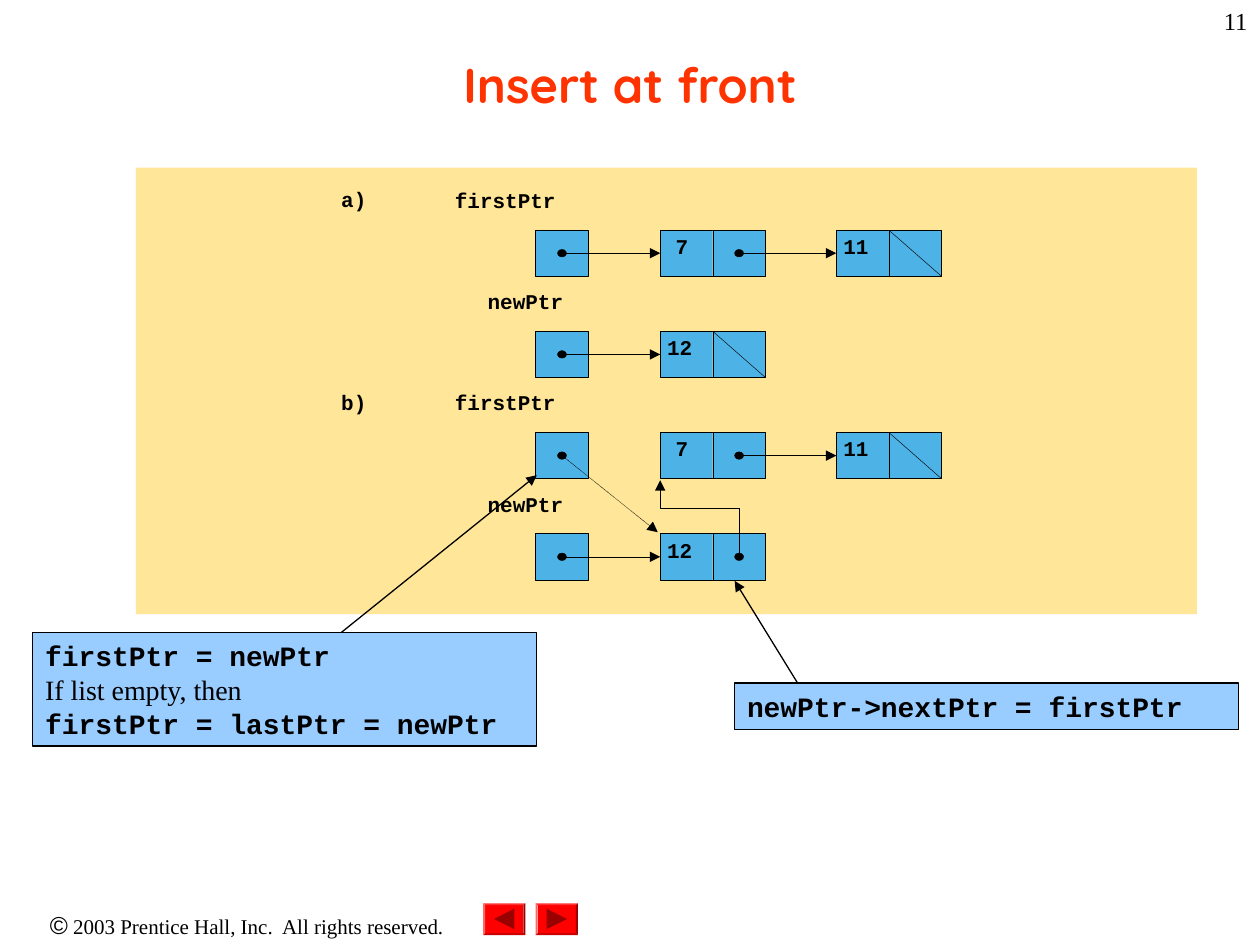
"""Build the slide showing how a node is inserted at the front of a linked list."""
from dataclasses import dataclass

from lxml import etree
from pptx import Presentation
from pptx.dml.color import RGBColor
from pptx.enum.dml import MSO_LINE
from pptx.enum.shapes import MSO_CONNECTOR, MSO_SHAPE
from pptx.enum.text import MSO_ANCHOR, MSO_AUTO_SIZE, PP_ALIGN
from pptx.oxml.ns import qn
from pptx.util import Cm, Pt

STRAIGHT = MSO_CONNECTOR.STRAIGHT
RECTANGLE, OVAL = MSO_SHAPE.RECTANGLE, MSO_SHAPE.OVAL
BEVEL, TRIANGLE = MSO_SHAPE.BEVEL, MSO_SHAPE.ISOSCELES_TRIANGLE
LEFT, CENTER, RIGHT = PP_ALIGN.LEFT, PP_ALIGN.CENTER, PP_ALIGN.RIGHT
TOP, MIDDLE = MSO_ANCHOR.TOP, MSO_ANCHOR.MIDDLE
GROW, FIXED = MSO_AUTO_SIZE.SHAPE_TO_FIT_TEXT, MSO_AUTO_SIZE.NONE
DOTTED = MSO_LINE.ROUND_DOT


@dataclass(frozen=True)
class Theme:
    """Colours, fonts and sizes of the slide."""
    ink: str = "000000"
    title: str = "FF3300"
    panel: str = "FFE699"
    cell: str = "4DB3E6"
    callout: str = "99CCFF"
    button: str = "FF0000"
    button_mark: str = "990000"
    hairline: float = 0.25
    callout_line: float = 0.75


THEME = Theme()
TITLE = ("Quicksand", 28, True, THEME.title)
LABEL = ("Courier New", 12, True, THEME.ink)
CODE = ("Courier New", 16, True, THEME.ink)
PROSE = ("Times New Roman", 16, False, THEME.ink)
NUMBER = ("Times New Roman", 14, False, THEME.ink)
SYMBOL = ("Arial", 14, False, THEME.ink)
NOTICE = ("Times New Roman", 12, False, THEME.ink)
BREAK = None

# step, pointer name, values, how the pointer and the last node link on
ROWS = [
    ("a)", "firstPtr", ["7", "11"], "next", "null"),
    ("", "newPtr", ["12"], "next", "null"),
    ("b)", "firstPtr", ["7", "11"], "down", "null"),
    ("", "newPtr", ["12"], "next", "up"),
]
CALLOUTS = [
    ((14.81, 13.77, 10.16, 0.94), [[("newPtr->nextPtr = firstPtr", CODE)]],
     (16.08, 13.77), (14.81, 11.71)),
    ((0.66, 12.75, 10.16, 2.29),
     [[("firstPtr = newPtr", CODE), BREAK, ("If list empty, then", PROSE)],
      [("firstPtr = lastPtr = newPtr", CODE)]],
     (6.88, 12.75), (10.82, 9.58)),
]
TEXTS = [
    ((1.91, 0.2, 21.59, 2.97), [[("Insert at front", TITLE)]], CENTER, MIDDLE, FIXED),
    ((0, 18.21, 9.96, 0.86),
     [[("©", SYMBOL), (" 2003 Prentice Hall, Inc.  All rights reserved.", NOTICE)]],
     CENTER, TOP, GROW),
    ((20.12, 0, 5.28, 1.27), [[("11", NUMBER)]], RIGHT, TOP, FIXED),
]
BUTTONS = [(9.74, -90), (10.8, 90)]

PANEL = (2.74, 3.38, 21.39, 9)
CELL_WIDTH, CELL_HEIGHT = 1.06, 0.93
ROW_TOP, ROW_STEP = 4.64, 2.04
POINTER_LEFT, NODE_LEFT, NODE_STEP = 10.8, 13.31, 3.55
STEP_LEFT = 6.88
NAME_BOXES = {"firstPtr": (9.17, 2.69), "newPtr": (9.83, 2.06)}
DOT_WIDTH, DOT_HEIGHT = 0.18, 0.15


def add_form(page, kind, bounds, fill, line=None):
    shape = page.shapes.add_shape(kind, *map(Cm, bounds))
    shape.shadow.inherit = False
    shape.fill.solid()
    shape.fill.fore_color.rgb = RGBColor.from_string(fill)
    if line:
        ink_line(shape, line)
    else:
        shape.line.fill.background()
    return shape


def ink_line(shape, width, arrow=False, dash=None):
    shape.line.color.rgb = RGBColor.from_string(THEME.ink)
    shape.line.width = Pt(width)
    if dash:
        shape.line.dash_style = dash
    if arrow:
        outline = shape.element.spPr.find(qn("a:ln"))
        etree.SubElement(outline, qn("a:tailEnd")).set("type", "triangle")


def add_line(page, start, end, width=THEME.hairline, arrow=True, dash=None):
    line = page.shapes.add_connector(STRAIGHT, *map(Cm, (*start, *end)))
    ink_line(line, width, arrow, dash)
    etree.SubElement(line.element.spPr, qn("a:effectLst"))


def add_path(page, points):
    start, *rest = [(Cm(x), Cm(y)) for x, y in points]
    builder = page.shapes.build_freeform(*start)
    builder.add_line_segments(rest, close=False)
    path = builder.convert_to_shape()
    path.shadow.inherit = False
    path.fill.background()
    ink_line(path, THEME.hairline, arrow=True, dash=DOTTED)


def write(box, paragraphs, align=LEFT, anchor=TOP, size=FIXED, inset=(0.25, 0.13), spacing=None):
    frame = box.text_frame
    frame.word_wrap = True
    frame.auto_size = size
    frame.vertical_anchor = anchor
    frame.margin_left = frame.margin_right = Cm(inset[0])
    frame.margin_top = frame.margin_bottom = Cm(inset[1])
    for index, spans in enumerate(paragraphs):
        para = frame.add_paragraph() if index else frame.paragraphs[0]
        para.alignment = align
        if spacing:
            para.line_spacing = spacing
        for item in spans:
            if item is BREAK:
                para.add_line_break()
                continue
            text, (font, points, bold, color) = item
            span = para.add_run()
            span.text = text
            span.font.name, span.font.size, span.font.bold = font, Pt(points), bold
            span.font.color.rgb = RGBColor.from_string(color)


def add_text(page, bounds, paragraphs, *layout, **options):
    write(page.shapes.add_textbox(*map(Cm, bounds)), paragraphs, *layout, **options)


def add_label(page, text, left, top, width, spacing=0.72):
    add_text(page, (left, top, width, 0.69), [[(text, LABEL)]], inset=(0, 0), spacing=spacing)


def add_cell(page, left, top):
    add_form(page, RECTANGLE, (left, top, CELL_WIDTH, CELL_HEIGHT), THEME.cell, THEME.hairline)


def add_dot(page, left, top):
    x, y = left + CELL_WIDTH / 2, top + CELL_HEIGHT / 2
    bounds = (x - DOT_WIDTH / 2, y - DOT_HEIGHT / 2, DOT_WIDTH, DOT_HEIGHT)
    add_form(page, OVAL, bounds, THEME.ink, THEME.hairline)
    return x, y


def add_row(page, top, step, name, values, pointer_link, last_link):
    if step:
        add_label(page, step, STEP_LEFT, top - 0.71, 0.69, 0.64)
    name_left, name_width = NAME_BOXES[name]
    add_label(page, name, name_left, top - 0.73, name_width)
    add_cell(page, POINTER_LEFT, top)
    lefts = [NODE_LEFT + index * NODE_STEP for index in range(len(values))]
    for left, value in zip(lefts, values):
        add_cell(page, left, top)
        add_cell(page, left + CELL_WIDTH, top)
        indent = 0.14 if len(value) > 1 else 0.31
        add_label(page, value, left + indent, top + 0.2, 0.76)
    x, y = add_dot(page, POINTER_LEFT, top)
    if pointer_link == "down":
        add_line(page, (x, y), (NODE_LEFT - 0.05, top + ROW_STEP - 0.03), dash=DOTTED)
    else:
        add_line(page, (x, y), (NODE_LEFT, y))
    for left, target in zip(lefts, lefts[1:]):
        x, y = add_dot(page, left + CELL_WIDTH, top)
        add_line(page, (x, y), (target, y))
    link_left = lefts[-1] + CELL_WIDTH
    if last_link == "null":
        corner = (link_left + CELL_WIDTH, top + CELL_HEIGHT)
        add_line(page, (link_left, top), corner, arrow=False)
    else:
        x, y = add_dot(page, link_left, top)
        bend = top - 0.52
        add_path(page, [(x, y), (x, bend), (NODE_LEFT, bend), (NODE_LEFT, top - 1.08)])


def main():
    deck = Presentation()
    deck.slide_width, deck.slide_height = Cm(25.4), Cm(19.05)
    page = deck.slides.add_slide(deck.slide_layouts[6])
    for left, turn in BUTTONS:
        button = add_form(page, BEVEL, (left, 18.21, 0.85, 0.64), THEME.button)
        button.adjustments[0] = 0.06
        mark = add_form(page, TRIANGLE, (left + 0.22, 18.32, 0.41, 0.41), THEME.button_mark)
        mark.rotation = turn
    add_form(page, RECTANGLE, PANEL, THEME.panel)
    for index, row in enumerate(ROWS):
        add_row(page, ROW_TOP + index * ROW_STEP, *row)
    for bounds, paragraphs, start, end in CALLOUTS:
        box = add_form(page, RECTANGLE, bounds, THEME.callout, THEME.callout_line)
        write(box, paragraphs, size=GROW)
        add_line(page, start, end, THEME.callout_line)
    for text in TEXTS:
        add_text(page, *text)
    deck.save("out.pptx")


if __name__ == "__main__":
    main()
